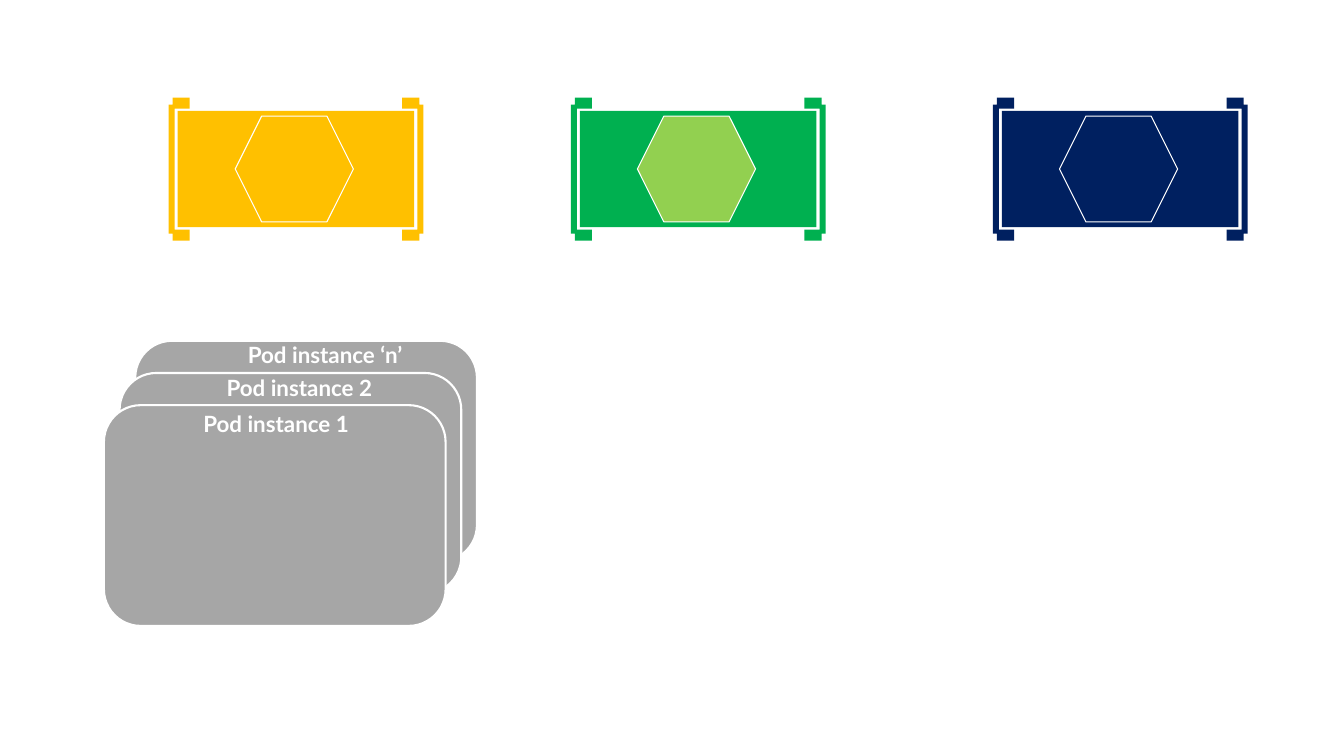
from dataclasses import dataclass

from pptx import Presentation
from pptx.dml.color import RGBColor
from pptx.enum.shapes import MSO_SHAPE
from pptx.util import Pt


@dataclass(frozen=True)
class Theme:
    """Colours and type sizes of the slide."""
    amber: str = "FFC000"
    green: str = "00B050"
    lime: str = "92D050"
    navy: str = "002060"
    grey: str = "A6A6A6"
    white: str = "FFFFFF"
    font: str = "Lato"
    label_size: float = 16
    thin: float = 0.75
    thick: float = 1.5


THEME = Theme()


def paint(sp, fill, line_width=0):
    """Give a shape a flat fill and a white outline, or none."""
    sp.shadow.inherit = False
    sp.fill.solid()
    sp.fill.fore_color.rgb = RGBColor.from_string(fill)
    if line_width:
        sp.line.color.rgb = RGBColor.from_string(THEME.white)
        sp.line.width = Pt(line_width)
    else:
        sp.line.fill.background()


def add_box(shapes, kind, x, y, w, h, fill, line_width=0):
    """Add a painted preset shape, measured in points."""
    sp = shapes.add_shape(kind, Pt(x), Pt(y), Pt(w), Pt(h))
    paint(sp, fill, line_width)
    return sp


def add_bracket(shapes, edge, top, h, direction, fill):
    """Add a corner bracket running inward from a vertical edge."""
    upper = [(2.9, 0), (15.1, 0), (15.1, 7.9), (4.3, 7.9)]
    lower = [(dx, h - dy) for dx, dy in reversed(upper)]
    outline = upper + lower + [(2.9, h - 5), (0, h - 5), (0, 5), (2.9, 5)]
    points = [(Pt(edge + direction * dx), Pt(top + dy)) for dx, dy in outline]
    builder = shapes.build_freeform(*points[0], scale=1.0)
    builder.add_line_segments(points[1:], close=True)
    paint(builder.convert_to_shape(), fill)


def add_container(s, x, y, w, h, fill, core_fill):
    """Draw a container with two brackets and a hexagonal core in its box."""
    shapes = s.shapes.add_group_shape().shapes
    add_box(shapes, MSO_SHAPE.RECTANGLE, x + 6.5, y + 9.6, w - 13, h - 19.2, fill)
    add_bracket(shapes, x, y, h, 1, fill)
    add_bracket(shapes, x + w, y, h, -1, fill)
    add_box(shapes, MSO_SHAPE.HEXAGON, x + 47.6, y + 13.2, 84.4, 75.6,
            core_fill, THEME.thin)


def add_label(s, x, y, text):
    """Add a bold white label."""
    tf = s.shapes.add_textbox(Pt(x), Pt(y), Pt(134.6), Pt(26.6)).text_frame
    tf.word_wrap = True
    p = tf.paragraphs[0]
    p.text = text
    p.font.name = THEME.font
    p.font.size = Pt(THEME.label_size)
    p.font.bold = True
    p.font.color.rgb = RGBColor.from_string(THEME.white)


def add_pod_stack(s, x, y, w, h):
    """Draw overlapping pod cards, back to front, with their labels."""
    step_x, step_y = 11.2, 23
    labels = [("Pod instance ‘n’", 95.8, -3.6),
              ("Pod instance 2", 80.6, 20.1),
              ("Pod instance 1", 64, 46)]
    last = len(labels) - 1
    for i in range(len(labels)):
        add_box(s.shapes, MSO_SHAPE.ROUNDED_RECTANGLE,
                x + (last - i) * step_x, y + i * step_y,
                w - last * step_x, h - last * step_y, THEME.grey, THEME.thick)
    for text, dx, dy in labels:
        add_label(s, x + dx, y + dy, text)


def main():
    """Build the slide and save it."""
    prs = Presentation()
    prs.slide_width, prs.slide_height = Pt(960), Pt(540)
    s = prs.slides.add_slide(prs.slide_layouts[6])
    for x, fill, core_fill in [(709.2, THEME.navy, THEME.navy),
                               (120.4, THEME.amber, THEME.amber),
                               (407.7, THEME.green, THEME.lime)]:
        add_container(s, x, 69.7, 182, 102.2, fill, core_fill)
    add_pod_stack(s, 74.2, 243.4, 266.5, 203.7)
    prs.save("out.pptx")


if __name__ == "__main__":
    main()
